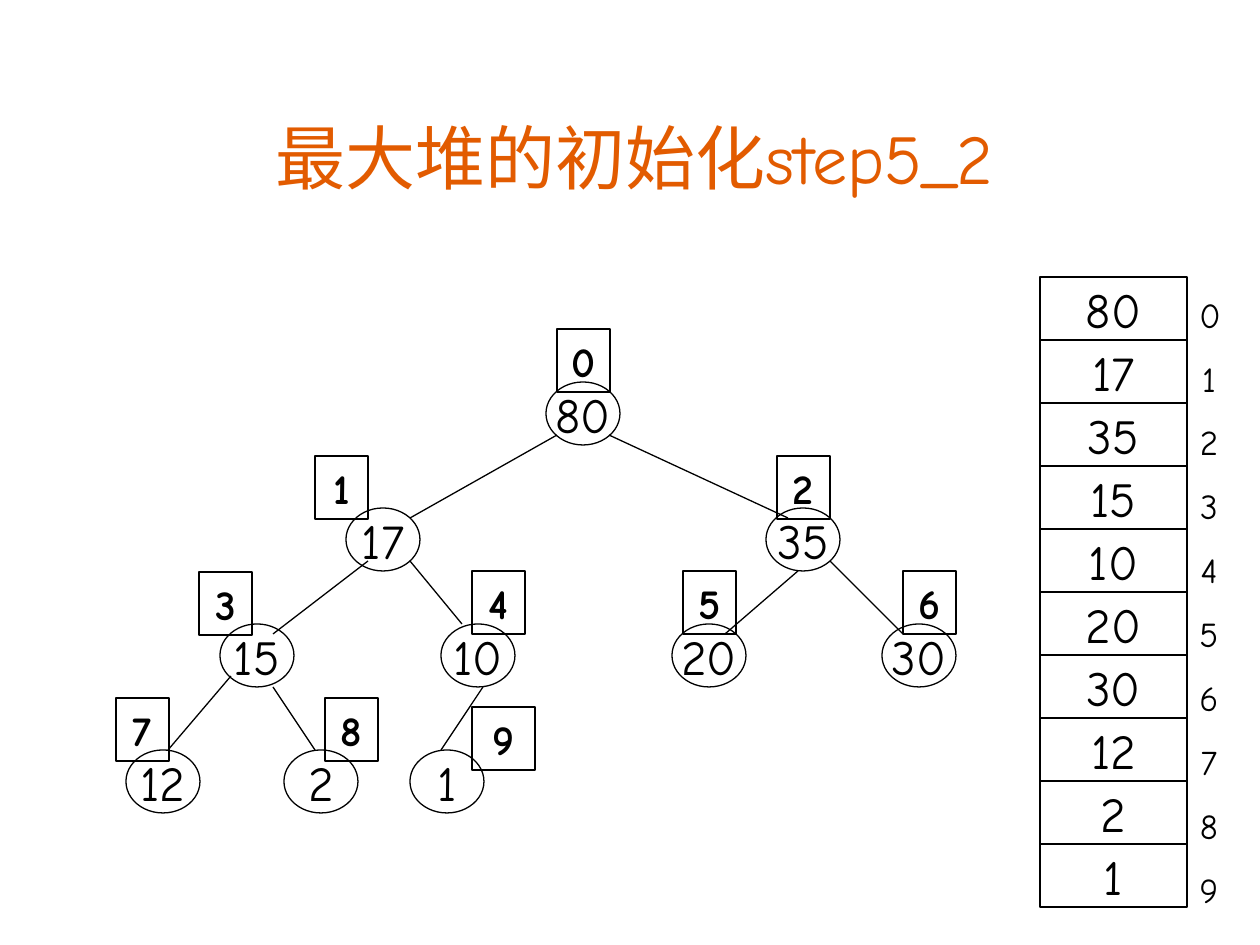
"""Build the slide showing step 5_2 of max-heap initialisation."""
from lxml.etree import SubElement
from pptx import Presentation
from pptx.dml.color import RGBColor
from pptx.enum.shapes import MSO_CONNECTOR as Connector, MSO_SHAPE as Shape
from pptx.enum.text import MSO_ANCHOR as Anchor, MSO_AUTO_SIZE as AutoSize, PP_ALIGN as Align
from pptx.oxml.ns import qn
from pptx.util import Emu, Inches, Pt

PX_PER_INCH = 126
LATIN, CJK = "Comic Neue", "Noto Sans CJK SC"
BLACK, ORANGE = "000000", "E25B00"
HEAP = [80, 17, 35, 15, 10, 20, 30, 12, 2, 1]
LEVEL_TOPS = [382, 508, 624, 750]
NODE_LEFTS = [546, 346, 766, 220, 441, 672, 882, 126, 284, 410]
NODE_SIZE = (74, 63)
TAG_BOXES = [
    (557, 329, 53, 63), (315, 456, 53, 63), (777, 456, 53, 63),
    (199, 572, 53, 63), (472, 571, 53, 63), (683, 571, 53, 63),
    (903, 571, 53, 63), (116, 698, 53, 63), (325, 698, 53, 63),
    (472, 707, 63, 63),
]
EDGES = [
    (557, 435, 410, 518), (368, 561, 273, 634), (231, 676, 168, 750),
    (410, 561, 462, 624), (273, 687, 315, 750), (483, 687, 441, 750),
    (609, 435, 788, 518), (798, 571, 725, 634), (830, 561, 903, 634),
]
CELL_LEFT, CELL_TOP, CELL_WIDTH, CELL_HEIGHT = 1040, 277, 147, 63


def px(*lengths):
    return [Emu(round(length * Inches(1) / PX_PER_INCH)) for length in lengths]


def colour(hex_code):
    return RGBColor.from_string(hex_code)


def write(paragraph, text, size=28, font=LATIN, fill=BLACK, bold=False, before=0):
    paragraph.alignment = Align.CENTER
    paragraph.space_before = Pt(before)
    run = paragraph.add_run()
    run.text = str(text)
    run.font.size, run.font.bold, run.font.name = Pt(size), bold, font
    run.font.color.rgb = colour(fill)
    SubElement(run.font._rPr, qn("a:ea"), typeface=font)


def set_outline(line):
    line.color.rgb = colour(BLACK)
    line.width = Pt(0.75)


def add_box(shapes, kind, box, text, anchor=Anchor.MIDDLE, wrap=False, **text_format):
    outline = shapes.add_shape(kind, *px(*box))
    outline.shadow.inherit = False
    outline.fill.background()
    set_outline(outline.line)
    frame = outline.text_frame
    frame.vertical_anchor, frame.word_wrap = anchor, wrap
    write(frame.paragraphs[0], text, **text_format)


def add_edge(shapes, ends):
    edge = shapes.add_connector(Connector.STRAIGHT, *px(*ends))
    set_outline(edge.line)
    SubElement(edge._element.spPr, qn("a:effectLst"))


def add_title(slide):
    title = slide.shapes.title
    title.left, title.top, title.width, title.height = px(94, 94, 1081, 105)
    frame = title.text_frame
    frame.margin_left = frame.margin_right = frame.margin_top = frame.margin_bottom = 0
    frame.vertical_anchor, frame.auto_size = Anchor.BOTTOM, AutoSize.NONE
    heading = frame.paragraphs[0]
    write(heading, "最大堆的初始化", size=40, font=CJK, fill=ORANGE)
    write(heading, "step5_2", size=40, fill=ORANGE)


def add_tree(slide):
    tree = slide.shapes.add_group_shape().shapes
    for index, (value, left) in enumerate(zip(HEAP, NODE_LEFTS)):
        top = LEVEL_TOPS[(index + 1).bit_length() - 1]
        add_box(tree, Shape.FLOWCHART_CONNECTOR, (left, top, *NODE_SIZE), value)
    for ends in EDGES:
        add_edge(tree, ends)
    for index, box in enumerate(TAG_BOXES):
        add_box(slide.shapes, Shape.RECTANGLE, box, index,
                anchor=Anchor.TOP, wrap=True, size=24, bold=True)


def add_array(slide):
    for index, value in enumerate(HEAP):
        cell = (CELL_LEFT, CELL_TOP + index * CELL_HEIGHT, CELL_WIDTH, CELL_HEIGHT)
        add_box(slide.shapes, Shape.FLOWCHART_PROCESS, cell, value)
    frame = slide.shapes.add_textbox(*px(1187, 287, 44, 630)).text_frame
    frame.word_wrap = True
    for index in range(len(HEAP)):
        paragraph = frame.add_paragraph() if index else frame.paragraphs[0]
        write(paragraph, index, size=20, before=12.5 if index else 0)


def main():
    deck = Presentation()
    deck.slide_width, deck.slide_height = px(1260, 945)
    slide = deck.slides.add_slide(deck.slide_layouts[5])
    add_title(slide)
    add_tree(slide)
    add_array(slide)
    deck.save("out.pptx")


if __name__ == "__main__":
    main()
